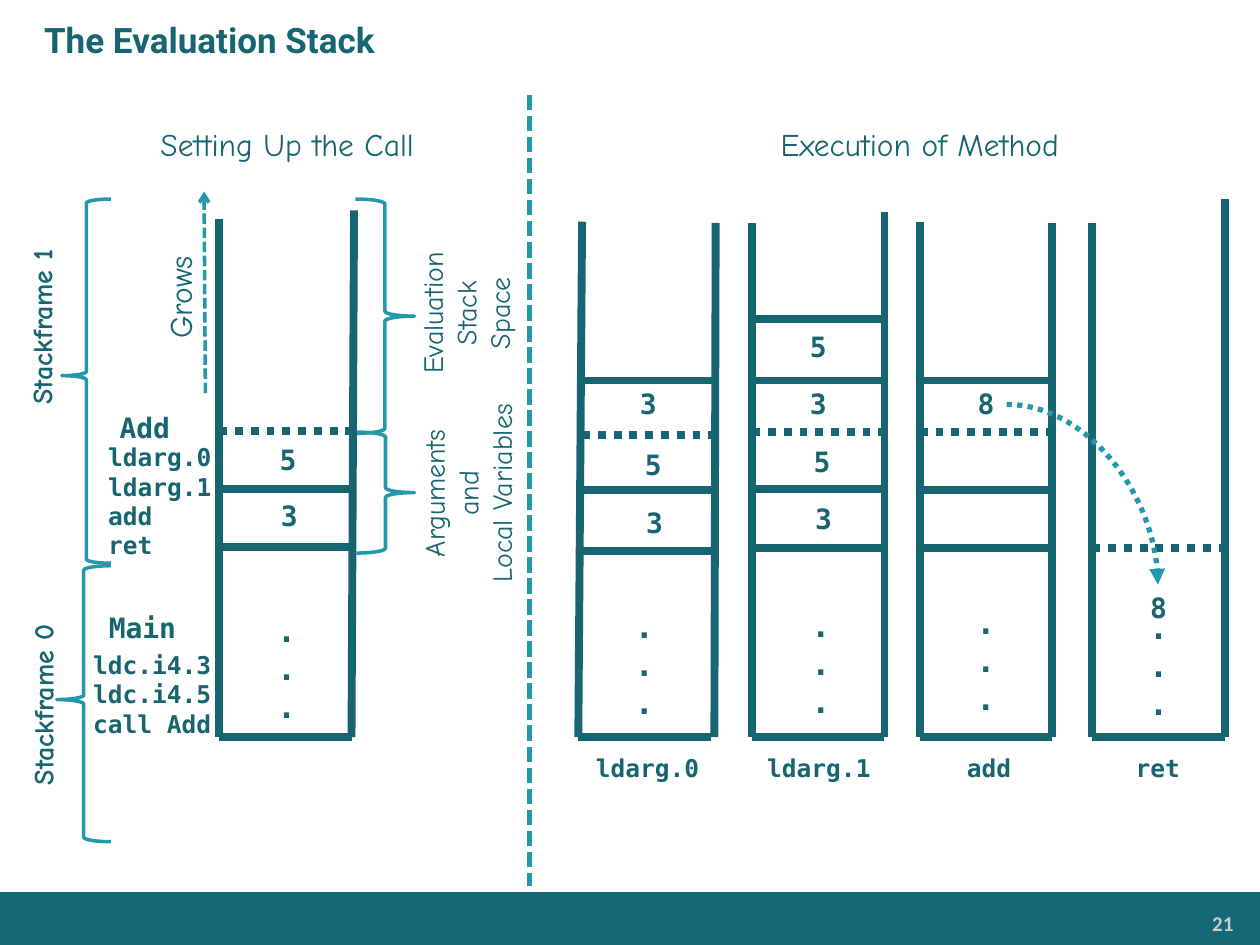
import pptx
import pptx.util
import pptx.dml.color
import pptx.enum.dml
import pptx.enum.shapes
import pptx.enum.text
import pptx.oxml.ns
import pptx.oxml.xmlchemy

Inches = pptx.util.Inches
Pt = pptx.util.Pt
color = pptx.dml.color.RGBColor.from_string
new_element = pptx.oxml.xmlchemy.OxmlElement
ALIGN = pptx.enum.text.PP_ALIGN
SHAPE = pptx.enum.shapes.MSO_SHAPE
CONNECTOR = pptx.enum.shapes.MSO_CONNECTOR
DASH = pptx.enum.dml.MSO_LINE.SQUARE_DOT
DOT = pptx.enum.dml.MSO_LINE.ROUND_DOT
DARK, LIGHT = "176571", "2298AA"
CODE, HAND = "DejaVu Sans Mono", "Comic Neue"

presentation = pptx.Presentation()
presentation.slide_width = Inches(10)
presentation.slide_height = Inches(7.5)
slide = presentation.slides.add_slide(presentation.slide_layouts[5])


def add_line(start, end, line_color=DARK, width=4.5, dash=None, arrow=None, kind=CONNECTOR.STRAIGHT):
    connector = slide.shapes.add_connector(
        kind, Inches(start[0]), Inches(start[1]), Inches(end[0]), Inches(end[1]))
    connector.line.color.rgb = color(line_color)
    connector.line.width = Pt(width)
    if dash is not None:
        connector.line.dash_style = dash
    if arrow:
        tail = new_element("a:tailEnd")
        tail.set("type", arrow)
        connector._element.spPr.find(pptx.oxml.ns.qn("a:ln")).append(tail)
    connector._element.spPr.append(new_element("a:effectLst"))
    return connector


def add_text(text, left, top, width, height, size, font=CODE, bold=True,
             align=ALIGN.CENTER, wrap=True, rotation=0, indent=0, text_color=DARK):
    box = slide.shapes.add_textbox(Inches(left), Inches(top), Inches(width), Inches(height))
    box.rotation = rotation
    box.text_frame.word_wrap = wrap
    box.text_frame.text = text
    for paragraph in box.text_frame.paragraphs:
        paragraph.alignment = align
        if indent:
            paragraph._p.get_or_add_pPr().set("marL", str(Inches(indent)))
        for run in paragraph.runs:
            run.font.name = font
            run.font.size = Pt(size)
            run.font.bold = bold
            run.font.color.rgb = color(text_color)
    return box


footer = slide.shapes.add_shape(SHAPE.RECTANGLE, 0, Inches(7.08), Inches(10.01), Inches(0.43))
footer.shadow.inherit = False
footer.fill.solid()
footer.fill.fore_color.rgb = color("146878")
footer.line.fill.background()
number = add_text("21", 8.23, 7.19, 1.63, 0.28, 12, "Calibri", align=ALIGN.RIGHT, text_color="CCCCCC")
number.text_frame.margin_left = number.text_frame.margin_right = Inches(0.07)
number.text_frame.margin_top = number.text_frame.margin_bottom = Inches(0.04)

title = slide.shapes.title
title.left, title.top, title.width, title.height = 0, 0, Inches(10), Inches(0.63)
title.text_frame.text = "The Evaluation Stack"
title.text_frame.auto_size = pptx.enum.text.MSO_AUTO_SIZE.NONE
title.text_frame.vertical_anchor = pptx.enum.text.MSO_ANCHOR.MIDDLE
heading = title.text_frame.paragraphs[0]
heading.alignment = ALIGN.LEFT
heading._p.get_or_add_pPr().set("marL", str(Inches(0.25)))
heading.runs[0].font.name = "Roboto"
heading.runs[0].font.size = Pt(20)
heading.runs[0].font.bold = True
heading.runs[0].font.color.rgb = color(DARK)

add_line((4.2, 0.75), (4.2, 7.03), LIGHT, 3, DASH)
for text, left in (("Setting Up the Call", 0.83), ("Execution of Method", 5.85)):
    add_text(text, left, 0.94, 2.9, 0.4, 18, HAND, False)

braces = [
    (SHAPE.LEFT_BRACE, 0.45, 4.49, 0.43, 2.19, 0.485),
    (SHAPE.LEFT_BRACE, 0.49, 1.58, 0.39, 2.89, 0.485),
    (SHAPE.RIGHT_BRACE, 2.83, 3.43, 0.46, 0.96, 0.5),
    (SHAPE.RIGHT_BRACE, 2.82, 1.58, 0.47, 1.86, 0.5),
]
for kind, left, top, width, height, middle in braces:
    brace = slide.shapes.add_shape(kind, Inches(left), Inches(top), Inches(width), Inches(height))
    brace.shadow.inherit = False
    brace.adjustments[0] = 0.083
    brace.adjustments[1] = middle
    brace.fill.background()
    brace.line.color.rgb = color(LIGHT)
    brace.line.width = Pt(2)

vertical_labels = [
    ("Stackframe 1", -0.45, 2.41, 1.56, 0.37, 16, True, False),
    ("Stackframe 0", -0.44, 5.41, 1.56, 0.37, 16, True, False),
    ("Evaluation\nStack\nSpace", 3.06, 2.03, 1.28, 0.91, 16, False, True),
    ("Arguments\nand\nLocal Variables", 2.87, 3.46, 1.69, 0.91, 16, False, False),
    ("Grows", 0.98, 2.16, 0.89, 0.4, 18, False, False),
]
for text, left, top, width, height, size, bold, wrap in vertical_labels:
    add_text(text, left, top, width, height, size, HAND, bold, wrap=wrap, rotation=270)
add_line((1.63, 3.12), (1.62, 1.52), LIGHT, 2, DASH, "arrow")

stacks = [
    {"left": (1.74, 1.74), "right": (2.81, 1.67), "base": (1.74, 2.79), "dotted": 3.42,
     "bars": (3.88, 4.34), "values": (("5", 2.12, 3.46), ("3", 2.13, 3.91)),
     "dots": (2.09, 4.8)},
    {"left": (4.62, 1.76), "right": (5.68, 1.77), "base": (4.59, 5.67), "dotted": 3.45,
     "bars": (3.02, 3.89, 4.37), "values": (("3", 4.98, 3.02), ("5", 5.02, 3.5), ("3", 5.03, 3.96)),
     "dots": (4.93, 4.77), "name": ("ldarg.0", 4.5)},
    {"left": (5.97, 1.77), "right": (7.02, 1.68), "base": (5.97, 7.02), "dotted": 3.43,
     "bars": (2.53, 3.02, 3.88, 4.35),
     "values": (("5", 6.33, 2.57), ("3", 6.33, 3.02), ("5", 6.36, 3.48), ("3", 6.37, 3.93)),
     "dots": (6.33, 4.76), "name": ("ldarg.1", 5.86)},
    {"left": (7.3, 1.76), "right": (8.35, 1.77), "base": (7.3, 8.35), "dotted": 3.43,
     "bars": (3.02, 3.89, 4.35), "values": (("8", 7.66, 3.02),),
     "dots": (7.64, 4.74), "name": ("add", 7.21)},
    {"left": (8.67, 1.77), "right": (9.72, 1.58), "base": (8.67, 9.72), "dotted": 4.35,
     "bars": (), "values": (("8", 9.03, 4.64),),
     "dots": (9.01, 4.78), "name": ("ret", 8.55)},
]
floor = 5.85
for stack in stacks:
    base_left, base_right = stack["base"]
    wall = stack["left"][0]
    add_line((base_left, floor), (base_left + 1.05, floor))
    add_line(stack["right"], (base_right, floor))
    add_line((wall, stack["dotted"]), (wall + 1.06, stack["dotted"]), dash=DOT)
    for height in stack["bars"]:
        add_line((wall, height), (wall + 1.06, height))
    add_line(stack["left"], (base_left, floor))
    for value, left, top in stack["values"]:
        add_text(value, left, top, 0.32, 0.37, 16, wrap=False)
    add_text(".\n.\n.", *stack["dots"], 0.37, 1.01, 18)
    if "name" in stack:
        name, left = stack["name"]
        add_text(name, left, 5.93, 1.28, 0.34, 14)

curve = add_line((7.99, 3.21), (9.19, 4.64), LIGHT, 3, DOT, "triangle", CONNECTOR.CURVE)
curve._element.spPr.find(pptx.oxml.ns.qn("a:prstGeom")).set("prst", "curvedConnector2")

add_text("Main", 0.49, 4.8, 1.28, 0.37, 16)
add_text("Add", 0.51, 3.21, 1.28, 0.37, 16)
add_text("ldc.i4.3\nldc.i4.5\ncall Add", 0.15, 5.11, 2, 0.81, 14, align=ALIGN.LEFT, indent=0.49)
add_text("ldarg.0\nldarg.1\nadd\vret", 0.27, 3.46, 2, 1.04, 14, align=ALIGN.LEFT, indent=0.49)

presentation.save("out.pptx")
